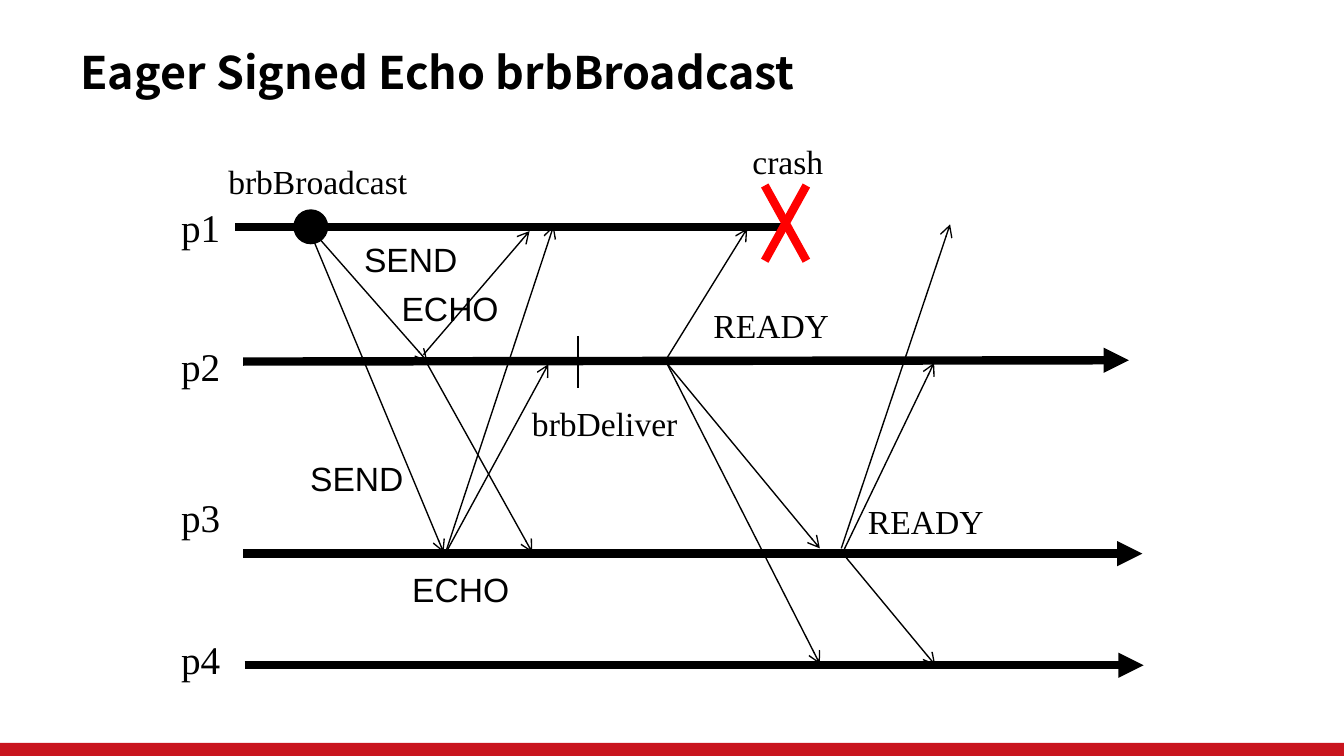
import pptx
import pptx.dml.color
import pptx.enum.shapes
import pptx.enum.text
import pptx.oxml.ns
import pptx.util
from lxml import etree
from typing import NamedTuple, Optional

Pt = pptx.util.Pt
SERIF, SANS, HEADING = "Times New Roman", "Arial", "Noto Sans CJK SC"
BLACK, RED, BAR_RED = "000000", "FF0000", "C9151E"
THICK, THIN = 4.5, 0.75


class Line(NamedTuple):
    x1: float
    y1: float
    x2: float
    y2: float
    width: float = THIN
    head: Optional[str] = "arrow"
    color: str = BLACK


class Label(NamedTuple):
    text: str
    x: float
    y: float
    w: float
    h: float = 28.8
    font: str = SERIF
    size: float = 18
    bold: bool = False
    wrap: bool = False


def rgb(value: str) -> pptx.dml.color.RGBColor:
    return pptx.dml.color.RGBColor.from_string(value)


def draw_line(s, line: Line) -> None:
    cx = s.shapes.add_connector(
        pptx.enum.shapes.MSO_CONNECTOR.STRAIGHT,
        Pt(line.x1), Pt(line.y1), Pt(line.x2), Pt(line.y2))
    cx.line.color.rgb = rgb(line.color)
    cx.line.width = Pt(line.width)
    qn = pptx.oxml.ns.qn
    sp_pr = cx.line._get_or_add_ln().getparent()
    if line.head:
        etree.SubElement(sp_pr.find(qn("a:ln")), qn("a:tailEnd"), type=line.head)
    etree.SubElement(sp_pr, qn("a:effectLst"))


def draw_label(s, label: Label) -> None:
    sp = s.shapes.add_textbox(Pt(label.x), Pt(label.y), Pt(label.w), Pt(label.h))
    tf = sp.text_frame
    tf.word_wrap = label.wrap
    tf.vertical_anchor = pptx.enum.text.MSO_ANCHOR.MIDDLE
    tf.text = label.text
    font = tf.paragraphs[0].runs[0].font
    font.name, font.size, font.bold = label.font, Pt(label.size), label.bold
    font.color.rgb = rgb(BLACK)


def draw_solid(s, kind, x: float, y: float, w: float, h: float, color: str):
    sp = s.shapes.add_shape(kind, Pt(x), Pt(y), Pt(w), Pt(h))
    sp.shadow.inherit = False
    sp.fill.solid()
    sp.fill.fore_color.rgb = rgb(color)
    sp.line.fill.background()
    return sp


TIMELINES = [
    Line(126, 121.7, 423.4, 121.7, THICK, None),
    Line(130.3, 193.7, 604.8, 193, THICK, "triangle"),
    Line(130.3, 296.6, 612, 296.6, THICK, "triangle"),
    Line(131, 356.4, 612.7, 356.4, THICK, "triangle"),
]
PROCESS_TOPS = [105.1, 180, 260.6, 337]

MESSAGES = [
    # SEND from p1
    Line(166.3, 122.4, 229, 193.7),
    Line(165.6, 123.1, 237.6, 295.9),
    # ECHO from p2 and p3
    Line(226.8, 190.1, 283.7, 123.8),
    Line(228.2, 193.7, 285.1, 295.9),
    Line(239, 295.2, 296.6, 121),
    Line(239, 295.9, 293.8, 195.1),
    # READY from p2
    Line(357.1, 194.4, 439.2, 293.8),
    Line(356.4, 193, 439.2, 355.7),
    Line(357.1, 192.2, 400.3, 122.4),
    # READY from p3
    Line(452.2, 297.4, 501.1, 356.4),
    Line(450.7, 293.8, 509, 120.2),
    Line(452.2, 294.5, 500.4, 194.4),
]

MARKS = [
    # Crash cross
    Line(432, 99.4, 409.7, 139.7, THICK, None, RED),
    Line(409.7, 99.4, 432, 139.7, THICK, None, RED),
    # Delivery tick
    Line(309.6, 180, 309.6, 208.1, THIN, None),
]

LABELS = [
    Label("Eager Signed Echo brbBroadcast", 36, 20.9, 501.1, 35.3,
          HEADING, 24, True, True),
    Label("brbBroadcast", 115.2, 82.8, 113.8),
    Label("crash", 396, 72, 52.6),
    Label("brbDeliver", 277.9, 212.4, 95),
    Label("SEND", 188, 124.6, 64.8, font=SANS),
    Label("SEND", 159.1, 241.9, 64.8, font=SANS),
    Label("ECHO", 208.1, 150.5, 67, font=SANS),
    Label("ECHO", 213.8, 301, 67, font=SANS),
    Label("READY", 375.1, 159.8, 77, wrap=True),
    Label("READY", 457.9, 265, 96.5, wrap=True),
]


def main() -> None:
    prs = pptx.Presentation()
    prs.slide_width, prs.slide_height = Pt(720), Pt(405)
    s = prs.slides.add_slide(prs.slide_layouts[6])
    shape = pptx.enum.shapes.MSO_SHAPE

    # Footer bar
    draw_solid(s, shape.RECTANGLE, 0, 398, 720, 7, BAR_RED)

    # Process timelines and their names
    for number, (line, top) in enumerate(zip(TIMELINES, PROCESS_TOPS), 1):
        draw_line(s, line)
        draw_label(s, Label(f"p{number}", 90, top, 36, 32.4, size=21))

    # Broadcast event
    event = draw_solid(s, shape.OVAL, 157.5, 112.5, 18, 18, BLACK)
    event.line.color.rgb = rgb(BLACK)
    event.line.width = Pt(THIN)

    # Messages, marks and captions
    for line in MESSAGES + MARKS:
        draw_line(s, line)
    for label in LABELS:
        draw_label(s, label)

    prs.save("out.pptx")


if __name__ == "__main__":
    main()
